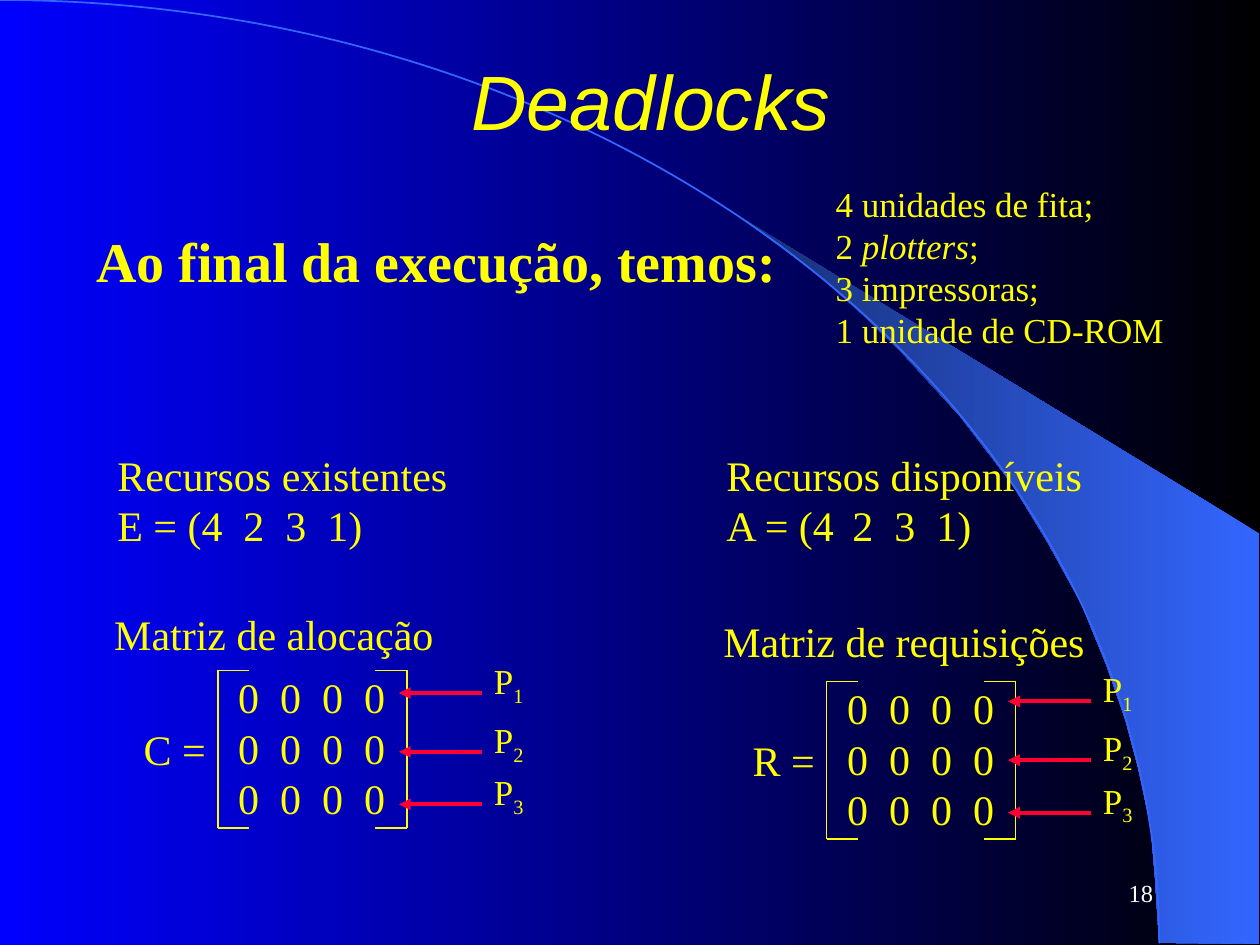
"""Builds the slide with the final state of the deadlock detection matrices."""
import pptx
import pptx.dml.color
import pptx.enum.shapes
import pptx.enum.text
import pptx.oxml
import pptx.oxml.ns
import pptx.util

COLORS = {
    "text": "FFFF00",
    "number": "FFFFFF",
    "arrow": "FF0033",
    "arc": "3366FF",
    "wedge_end": "172F75",
    "night": "000000",
    "sky": "0000FF",
}
SERIF = "Times New Roman"
SLIDE_WIDTH, SLIDE_HEIGHT = pptx.util.Inches(10), pptx.util.Inches(7.5)
CELL = SLIDE_WIDTH // 120
ALIGN = pptx.enum.text.PP_ALIGN
ANCHOR = pptx.enum.text.MSO_ANCHOR
WEDGE = [
    (1104, 898), (1199, 899), (1199, 508), (707, 208), (749, 239), (784, 266),
    (822, 300), (859, 336), (914, 396), (964, 461), (998, 517), (1030, 575),
    (1054, 634), (1072, 686), (1084, 731), (1096, 787), (1100, 835),
]
PROCESS_ROWS = (0, 5.6, 10.6)


def cells(*counts):
    """Turn counts of grid cells into lengths."""
    return [round(count * CELL) for count in counts]


def rgb(key):
    """Look up a colour of the slide."""
    return pptx.dml.color.RGBColor.from_string(COLORS[key])


def add_tabs(paragraph, stops):
    """Set left tab stops, counted in grid cells."""
    properties = paragraph._p.get_or_add_pPr()
    tab_list = pptx.oxml.parse_xml(f"<a:tabLst {pptx.oxml.ns.nsdecls('a')}/>")
    for position in cells(*stops):
        tab = tab_list.makeelement(pptx.oxml.ns.qn("a:tab"), {"pos": str(position), "algn": "l"})
        tab_list.append(tab)
    properties.append(tab_list)


def add_text(shapes, box, lines, size=24, font=SERIF, color="text", bold=False, italic=False,
             align=ALIGN.LEFT, anchor=ANCHOR.TOP, leading=1.2, tabs=()):
    """Write lines, each a string or a list of (text, style) runs, in a box of grid cells."""
    frame = shapes.add_textbox(*cells(*box)).text_frame
    frame.word_wrap = True
    frame.vertical_anchor = anchor
    for index, line in enumerate(lines):
        paragraph = frame.paragraphs[0] if index == 0 else frame.add_paragraph()
        paragraph.alignment = align
        paragraph.line_spacing = pptx.util.Pt(round(size * leading, 1))
        if tabs:
            add_tabs(paragraph, tabs)
        for text, style in [(line, "")] if isinstance(line, str) else line:
            run = paragraph.add_run()
            run.text = text
            run.font.name = font
            run.font.size = pptx.util.Pt(size)
            run.font.bold = bold
            run.font.italic = italic or style == "italic"
            run.font.color.rgb = rgb(color)
            if style == "subscript":
                run._r.get_or_add_rPr().set("baseline", "-25000")


def add_line(shapes, start, end, color="text", width=0.75, arrow=False):
    """Draw a straight line, with an arrowhead at its start if asked."""
    line = shapes.add_connector(pptx.enum.shapes.MSO_CONNECTOR.STRAIGHT, *cells(*start, *end))
    line.line.color.rgb = rgb(color)
    line.line.width = pptx.util.Pt(width)
    if arrow:
        head = pptx.oxml.parse_xml(f"<a:headEnd {pptx.oxml.ns.nsdecls('a')} type='triangle'/>")
        line.line._get_or_add_ln().append(head)
    effects = pptx.oxml.parse_xml(f"<a:effectLst {pptx.oxml.ns.nsdecls('a')}/>")
    line._element.spPr.append(effects)


def fill_gradient(fill, right, left):
    """Blend two colours from right to left."""
    fill.gradient()
    fill.gradient_angle = 180
    for stop, position, key in zip(fill.gradient_stops, (0, 1), (right, left)):
        stop.position = position
        stop.color.rgb = rgb(key)


def add_backdrop(slide):
    """Draw the night sky, the light wedge and the horizon arc."""
    fill_gradient(slide.background.fill, "night", "sky")
    outline = slide.shapes.build_freeform(*WEDGE[0], scale=CELL / 10)
    outline.add_line_segments(WEDGE[1:], close=True)
    wedge = outline.convert_to_shape()
    wedge.shadow.inherit = False
    fill_gradient(wedge.fill, "arc", "wedge_end")
    wedge.line.fill.background()
    horizon = slide.shapes.add_shape(
        pptx.enum.shapes.MSO_SHAPE.ARC, *cells(-110.4, 0, 220.8, 179.7))
    horizon.shadow.inherit = False
    horizon.fill.background()
    horizon.line.color.rgb = rgb("arc")
    horizon.line.width = pptx.util.Pt(1)


def add_brackets(shapes, left, top, width=18, height=15, tick=3):
    """Draw the square brackets of a matrix."""
    bottom = top + height
    for side, inner in ((left, left + tick), (left + width, left + width - tick)):
        add_line(shapes, (side, top), (side, bottom))
        for edge in (top, bottom):
            add_line(shapes, (side, edge), (inner, edge))


def add_matrix(slide, name, caption, left, top, caption_top, process_top):
    """Draw a captioned matrix with an arrow from each process to its row."""
    shapes = slide.shapes.add_group_shape().shapes
    add_text(shapes, (left - 8.25, top + 4.5, 9, 6), [f"{name} ="])
    add_text(shapes, (left + 0.75, top - 0.45, 17, 15.6), ["0\t0\t0\t0"] * 3, tabs=(4, 8, 12))
    add_brackets(shapes, left, top)
    add_text(shapes, (left - 11.05, caption_top, 38, 6), [caption])
    for number, offset in enumerate(PROCESS_ROWS, start=1):
        row = process_top + offset
        add_line(shapes, (left + 17.25, row), (left + 25.2, row), "arrow", 2.25, arrow=True)
        add_text(shapes, (left + 25.1, row - 3.8, 5.5, 5.8),
                 [[("P", ""), (str(number), "subscript")]], size=20, leading=1.37)


def main():
    """Build and save the slide."""
    deck = pptx.Presentation()
    deck.slide_width, deck.slide_height = SLIDE_WIDTH, SLIDE_HEIGHT
    slide = deck.slides.add_slide(deck.slide_layouts[6])
    shapes = slide.shapes
    add_backdrop(slide)
    add_text(shapes, (8, 2, 108, 15), ["Deadlocks"], size=44, font="Arial", italic=True,
             align=ALIGN.CENTER, anchor=ANCHOR.MIDDLE)
    vectors = (
        (10, "Recursos existentes", "E = (4\t2\t3\t1)"),
        (68, "Recursos disponíveis", "A = (4\t2\t3\t1)"),
    )
    for left, heading, vector in vectors:
        add_text(shapes, (left, 42.2, 37, 10.8), [heading, vector], tabs=(12, 16, 20))
    add_matrix(slide, "C", "Matriz de alocação", 20.75, 63.85, 57.4, 66)
    add_matrix(slide, "R", "Matriz de requisições", 78.75, 64.9, 58, 66.8)
    add_text(shapes, (8, 21, 69, 7.7), ["Ao final da execução, temos:"], size=32, bold=True)
    resources = [
        "4 unidades de fita;",
        [("2 ", ""), ("plotters", "italic"), (";", "")],
        "3 impressoras;",
        "1 unidade de CD-ROM",
    ]
    add_text(shapes, (78.4, 16.8, 34.5, 17.3), resources, size=20)
    add_text(shapes, (86, 82, 25, 6), ["18"], size=14, color="number",
             align=ALIGN.RIGHT, anchor=ANCHOR.MIDDLE)
    deck.save("out.pptx")


if __name__ == "__main__":
    main()
